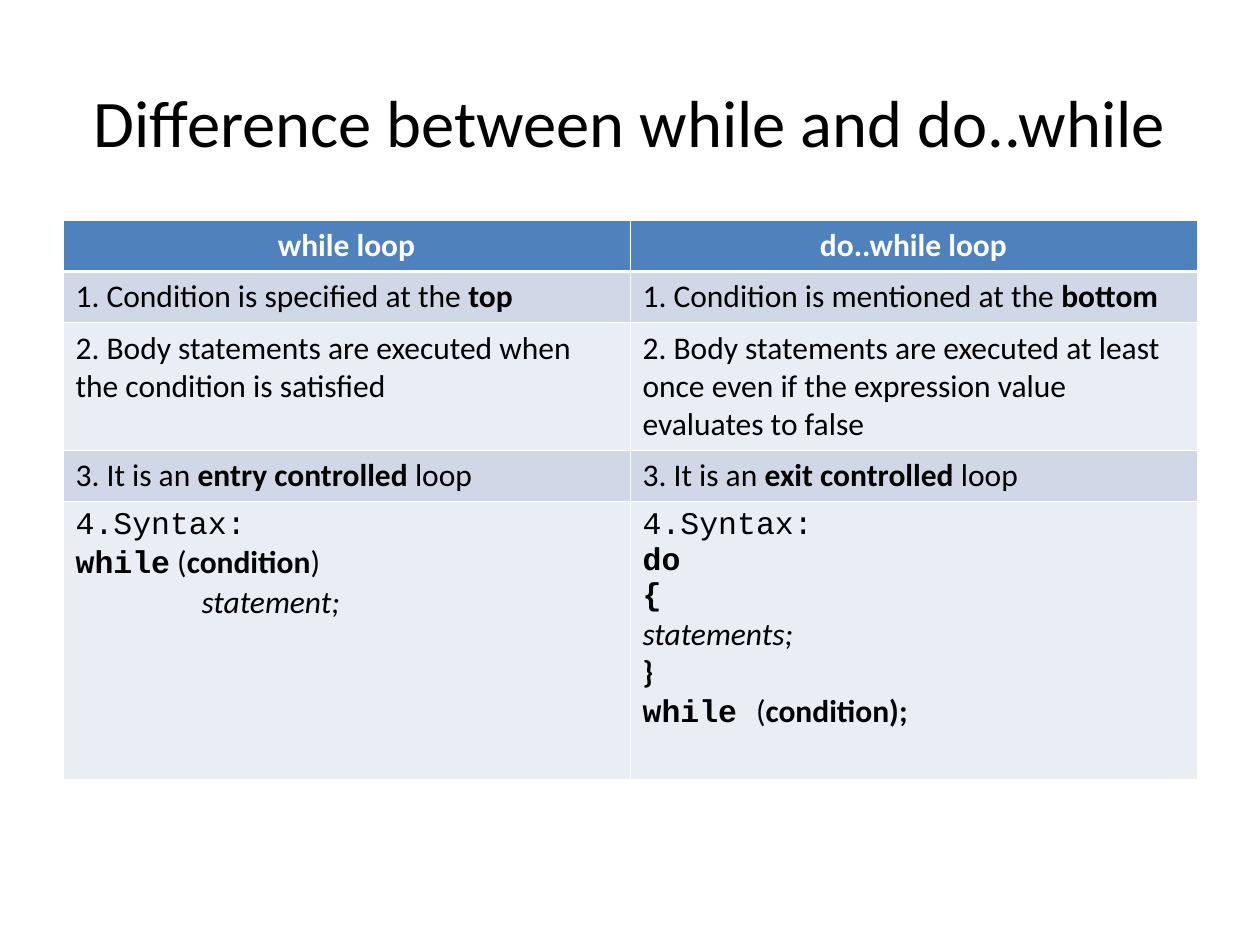
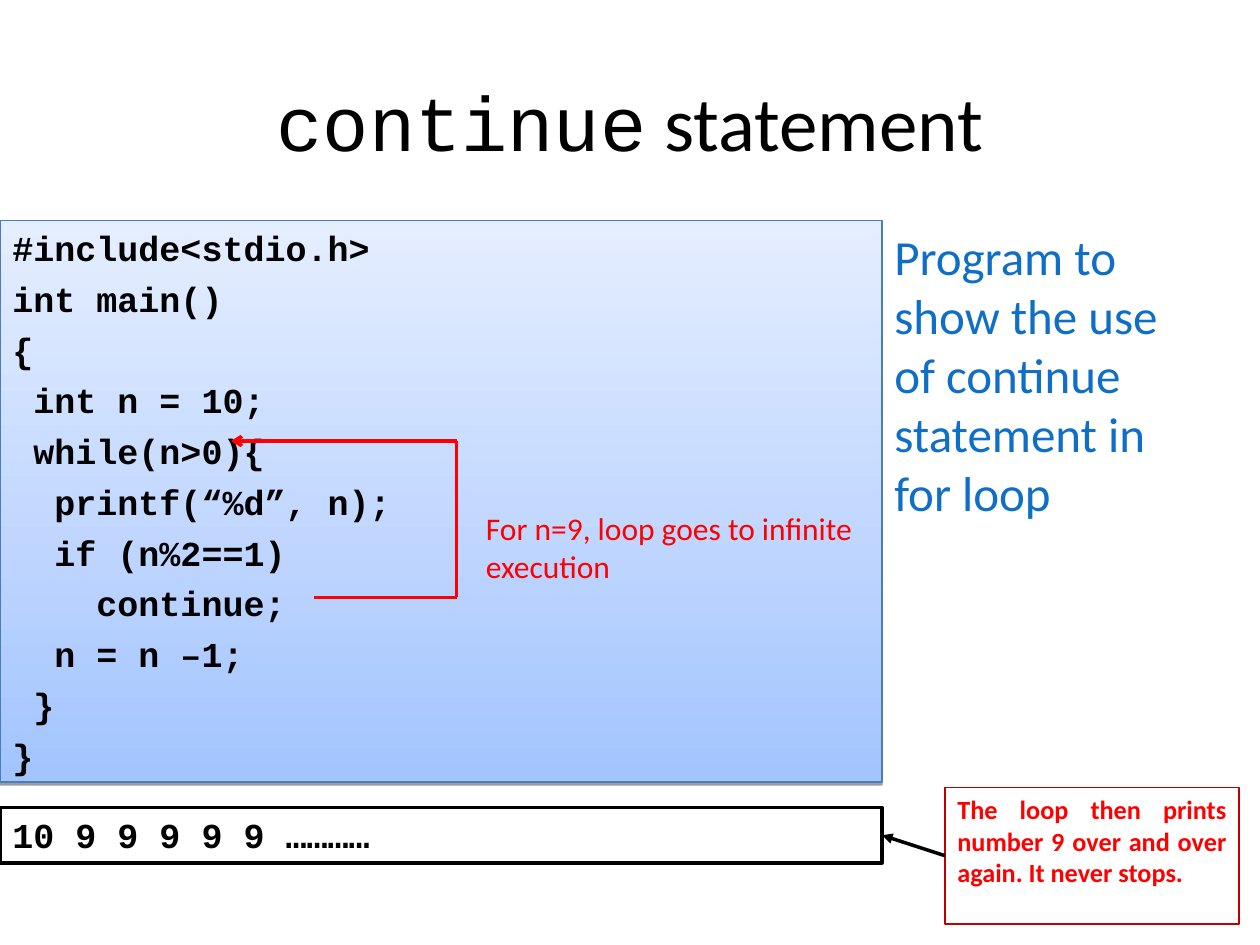
"""Build two slides on loops in C: while against do..while, and continue."""
from itertools import pairwise
from typing import NamedTuple

from lxml import etree
from pptx import Presentation
from pptx.dml.color import RGBColor
from pptx.enum.shapes import MSO_CONNECTOR, MSO_SHAPE
from pptx.enum.text import MSO_ANCHOR, MSO_AUTO_SIZE, PP_ALIGN
from pptx.oxml.ns import qn
from pptx.util import Inches, Length, Pt

RECT, LINE = MSO_SHAPE.RECTANGLE, MSO_CONNECTOR.STRAIGHT
TOP, MID = MSO_ANCHOR.TOP, MSO_ANCHOR.MIDDLE
FIXED = MSO_AUTO_SIZE.NONE
LEFT, MIDST, BOTH = PP_ALIGN.LEFT, PP_ALIGN.CENTER, PP_ALIGN.JUSTIFY
SANS, MONO = "Calibri", "Courier New"
BLACK, WHITE, RED = "000000", "FFFFFF", "FF0000"
HEAD, BANDS = "4F81BD", ("D0D8E8", "E9EDF4")
THIN, THICK = 0.45, 1.47
COLS, ROWS = 120, 90
BREAK, TAB = "\n", "\t"


class Box(NamedTuple):
    """A place on the grid, in columns and rows."""
    left: float
    top: float
    width: float
    height: float


class Style(NamedTuple):
    """The font and setting of a whole paragraph."""
    size: float
    color: str = BLACK
    face: str = SANS
    bold: bool = False
    align: PP_ALIGN = LEFT
    gap: float = 0


class Run(NamedTuple):
    """A stretch of text that departs from its paragraph."""
    text: str
    bold: bool = False
    ital: bool = False
    face: str = ""


class Panel(NamedTuple):
    """A framed or plain block of text."""
    box: Box
    lines: list
    style: Style
    edge: str = ""
    weight: float = 0.75
    fill: str = ""
    wrap: bool = True


TITLE = Box(6, 4, 108, 15)
GRID = Box(6, 21, 108, 52.8)
TALL = (0.4, 0.4, 1, 0.4, 2.2)
CELL = Style(18)
CAP = Style(18, WHITE, bold=True, align=MIDST)
CODE = Style(20, face=MONO, bold=True, gap=5)

SYNTAX = [Run("4.Syntax:", face=MONO)]
TABLE = [
    (["while loop"], ["do..while loop"]),
    ([[Run("1. Condition is specified at the "), Run("top", True)]],
     [[Run("1. Condition is mentioned at the "), Run("bottom", True)]]),
    (["2. Body statements are executed when the condition is satisfied"],
     ["2. Body statements are executed at least once even if the "
      "expression value evaluates to false"]),
    ([[Run("3. It is an "), Run("entry controlled ", True), Run("loop")]],
     [[Run("3. It is an "), Run("exit controlled", True), Run(" loop")]]),
    ([SYNTAX,
      [Run("while", True, face=MONO), Run(" ("), Run("condition", True),
       Run(")")],
      [Run(TAB), Run("statement;", ital=True)]],
     [SYNTAX,
      [Run("do", True, face=MONO)],
      [Run("{", True, face=MONO), Run(BREAK), Run("statements;", ital=True)],
      [Run("}", True), Run(BREAK), Run("while ", True, face=MONO), Run("("),
       Run("condition);", True)]]),
]

SOURCE = """#include<stdio.h>
int main()
{
 int n = 10;
 while(n>0){
  printf(“%d”, n);
  if (n%2==1)
    continue;
  n = n –1;
 }
}""".splitlines()

LISTING = Panel(Box(0, 21, 84, 53.5), SOURCE, CODE, "4A7EBB")
OUTPUT = Panel(Box(0, 76.9, 84, 5.3), ["10 9 9 9 9 9 …………"], CODE,
               BLACK, 2, WHITE)
REMARK = Panel(Box(90, 75, 28, 13),
               ["The loop then prints number 9 over and over again. "
                "It never stops."],
               Style(15, RED, bold=True, align=BOTH), "C00000")
INTRO = Panel(Box(84, 21, 31, 59.4),
              ["Program to show the use of continue statement in for loop"],
              Style(28, "0F6FC6"))
NOTE = Panel(Box(45.1, 47.9, 37.4, 8.4),
             ["For n=9, loop goes to infinite", "execution"],
             Style(18, RED), wrap=False)
BACK = [(29.9, 56.9), (43.5, 56.9), (43.5, 42), (22, 42)]


def rgb(code: str) -> RGBColor:
    """Turn a hex string into a colour."""
    return RGBColor.from_string(code)


def grid(*vals: float) -> list[Length]:
    """Turn grid steps into lengths."""
    return [Inches(val * 10 / COLS) for val in vals]


def write(frame, lines: list, style: Style) -> None:
    """Fill a text frame with one paragraph for each line."""
    for num, line in enumerate(lines):
        parts = [Run(line, style.bold)] if isinstance(line, str) else line
        para = frame.add_paragraph() if num else frame.paragraphs[0]
        para.alignment = style.align
        para.space_before = Pt(style.gap if num else 0)
        if parts[0].text == TAB:
            stops = etree.SubElement(para._p.get_or_add_pPr(), qn("a:tabLst"))
            etree.SubElement(stops, qn("a:tab"), pos=str(Inches(1)), algn="l")
        font = para.font
        font.size, font.name = Pt(style.size), style.face
        font.bold, font.color.rgb = style.bold, rgb(style.color)
        for part in parts:
            if part.text == BREAK:
                para.add_line_break()
                continue
            run = para.add_run()
            run.text = part.text
            if part.bold != style.bold:
                run.font.bold = part.bold
            if part.ital:
                run.font.italic = True
            if part.face:
                run.font.name = part.face


def start(deck, lines: list, size: float):
    """Add a slide with its title set."""
    slide = deck.slides.add_slide(deck.slide_layouts[5])
    title = slide.shapes.title
    title.left, title.top, title.width, title.height = grid(*TITLE)
    frame = title.text_frame
    frame.auto_size, frame.vertical_anchor = FIXED, MID
    frame.word_wrap = True
    write(frame, lines, Style(size, align=MIDST))
    return slide


def panel(slide, item: Panel):
    """Draw a block of text, framed if it has an edge."""
    place = grid(*item.box)
    if item.edge:
        shape = slide.shapes.add_shape(RECT, *place)
        shape.shadow.inherit = False
        shape.line.color.rgb = rgb(item.edge)
        shape.line.width = Pt(item.weight)
        if item.fill:
            shape.fill.solid()
            shape.fill.fore_color.rgb = rgb(item.fill)
        else:
            shape.fill.background()
    else:
        shape = slide.shapes.add_textbox(*place)
    frame = shape.text_frame
    frame.word_wrap, frame.auto_size = item.wrap, FIXED
    frame.vertical_anchor = TOP
    write(frame, item.lines, item.style)
    return shape


def shade(shape) -> None:
    """Give a shape a blue gradient and a thin shadow below."""
    shape.fill.gradient()
    shape.fill.gradient_angle = 90
    for stop, code in zip(shape.fill.gradient_stops, ("A3C4FF", "E5EEFF")):
        stop.color.rgb = rgb(code)
    props = shape.element.spPr
    cast = etree.SubElement(props.find(qn("a:effectLst")), qn("a:outerShdw"),
                            blurRad="0", dist=str(Pt(1.6)), dir="5400000",
                            rotWithShape="0")
    tint = etree.SubElement(cast, qn("a:srgbClr"), val=BLACK)
    etree.SubElement(tint, qn("a:alpha"), val="38000")


def link(slide, ends: tuple, color: str, tip: str = ""):
    """Draw a straight line, with an arrowhead at its end if named."""
    (left, top), (right, low) = ends
    line = slide.shapes.add_connector(LINE, *grid(left, top, right, low))
    line.line.color.rgb, line.line.width = rgb(color), Pt(2)
    if tip:
        etree.SubElement(line.line._get_or_add_ln(), qn("a:tailEnd"), type=tip)
    etree.SubElement(line.element.spPr, qn("a:effectLst"))
    return line


def rule(cell, num: int) -> None:
    """Draw white cell borders, thick between the head and the body."""
    props = cell._tc.get_or_add_tcPr()
    for side in "LRTB":
        wide = (num, side) in ((0, "B"), (1, "T"))
        edge = etree.SubElement(props, qn(f"a:ln{side}"),
                                w=str(Pt(THICK if wide else THIN)))
        fill = etree.SubElement(edge, qn("a:solidFill"))
        etree.SubElement(fill, qn("a:srgbClr"), val=WHITE)


def compare(deck) -> None:
    """Build the slide that sets the two loops side by side."""
    slide = start(deck, ["Difference between while and do..while"], 38)
    table = slide.shapes.add_table(len(TABLE), 2, *grid(*GRID)).table
    for num, (row, tall) in enumerate(zip(TABLE, TALL)):
        table.rows[num].height = Inches(tall)
        for col, lines in enumerate(row):
            cell = table.cell(num, col)
            rule(cell, num)
            cell.fill.solid()
            cell.fill.fore_color.rgb = rgb(BANDS[(num - 1) % 2] if num else HEAD)
            write(cell.text_frame, lines, CELL if num else CAP)


def resume(deck) -> None:
    """Build the slide on the continue statement."""
    slide = start(deck, [[Run("continue", face=MONO), Run(" statement")]], 44)
    shade(panel(slide, LISTING))
    output, remark = panel(slide, OUTPUT), panel(slide, REMARK)
    panel(slide, INTRO)
    arrow = link(slide, ((90, 81.5), (84, 79.55)), BLACK, "triangle")
    arrow.begin_connect(remark, 1)
    arrow.end_connect(output, 3)
    for ends in pairwise(BACK):
        link(slide, ends, RED, "arrow" if ends[1] == BACK[-1] else "")
    panel(slide, NOTE)


def main() -> None:
    """Build and save the deck."""
    deck = Presentation()
    deck.slide_width, deck.slide_height = grid(COLS, ROWS)
    compare(deck)
    resume(deck)
    deck.save("out.pptx")


if __name__ == "__main__":
    main()
